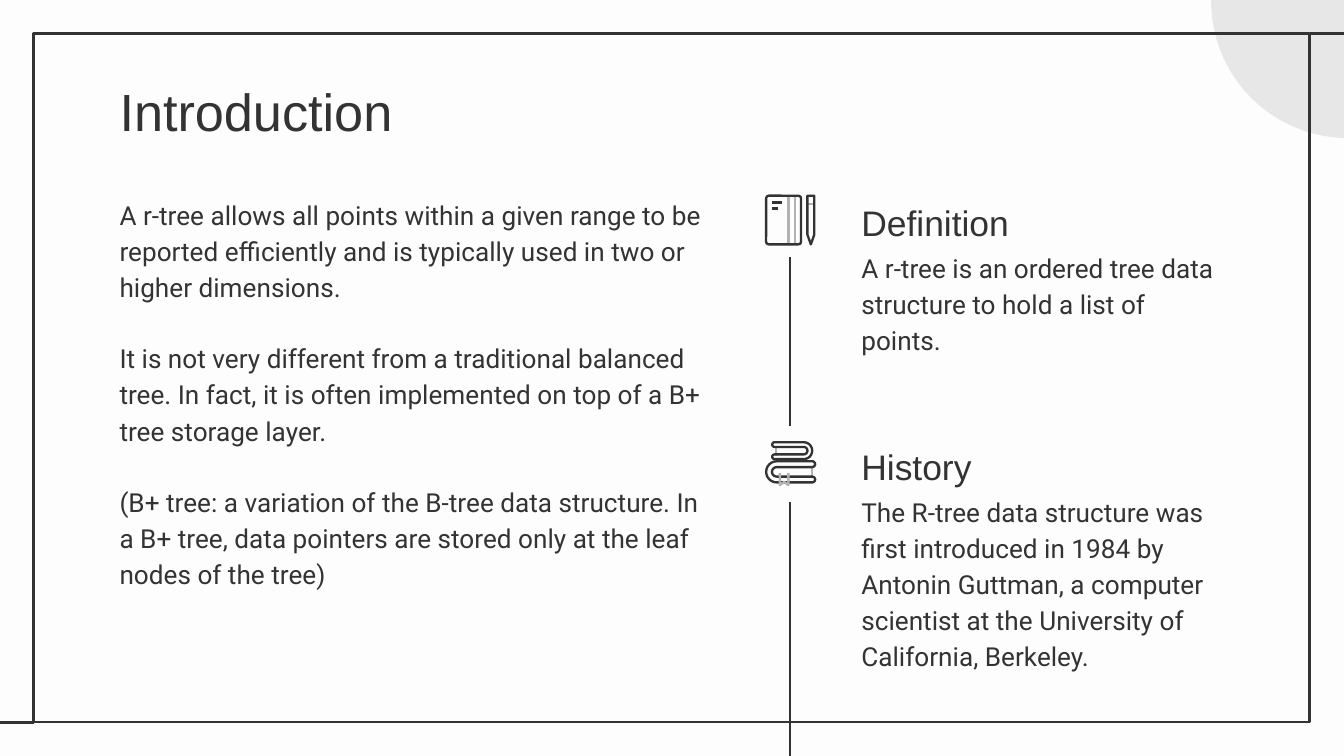
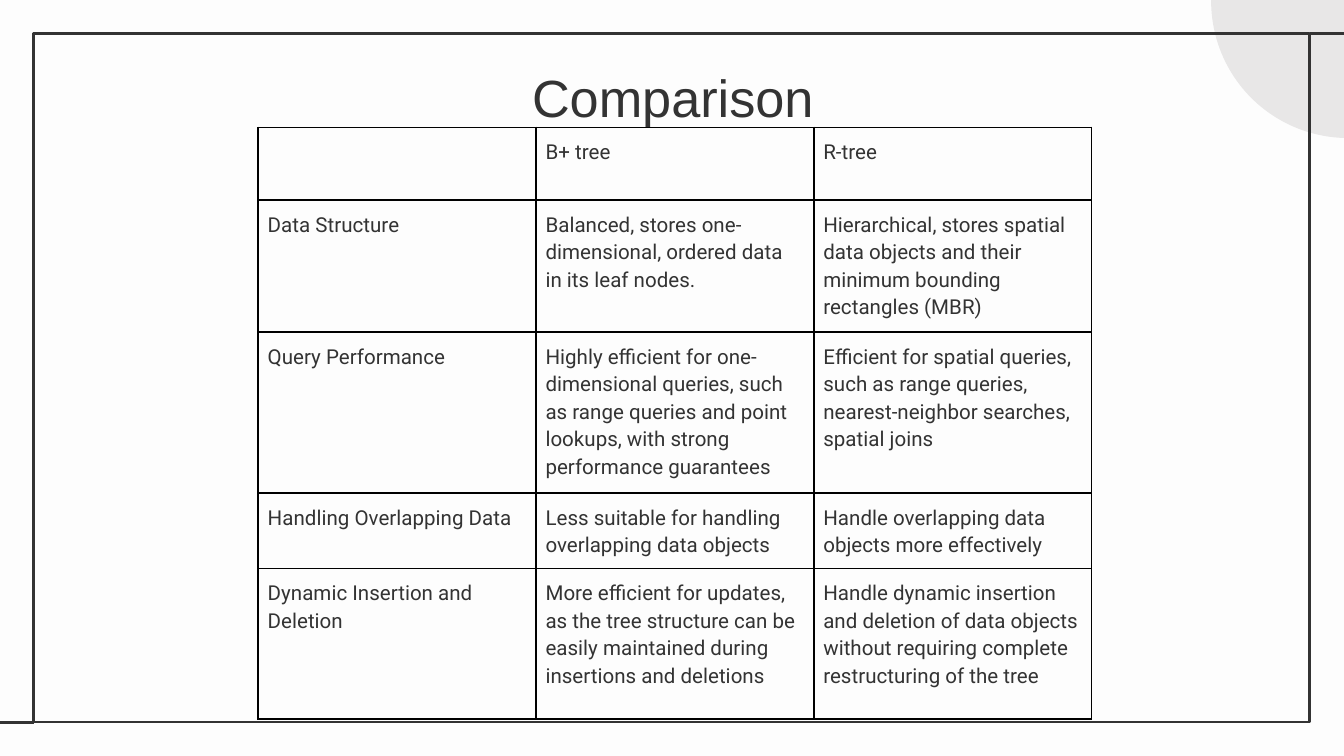
from dataclasses import dataclass
from math import cos, pi, sin

from lxml import etree
from pptx import Presentation
from pptx.dml.color import RGBColor
from pptx.enum.shapes import MSO_CONNECTOR, MSO_SHAPE
from pptx.enum.text import MSO_ANCHOR, PP_ALIGN
from pptx.oxml.ns import qn
from pptx.util import Cm, Pt

RECT, OVAL = MSO_SHAPE.RECTANGLE, MSO_SHAPE.OVAL
ROUND, PEN = MSO_SHAPE.ROUNDED_RECTANGLE, MSO_SHAPE.FLOWCHART_OFFPAGE_CONNECTOR
STRAIGHT = MSO_CONNECTOR.STRAIGHT
TOP, BOTTOM = MSO_ANCHOR.TOP, MSO_ANCHOR.BOTTOM
LEFT, CENTER = PP_ALIGN.LEFT, PP_ALIGN.CENTER


@dataclass(frozen=True)
class Theme:
    paper: str = "FDFDFD"
    ink: str = "333333"
    disc: str = "E8E7E7"
    accent: str = "B2B2B2"
    grid: str = "000000"
    head: str = "Arial"
    body: str = "Roboto"
    title: int = 28
    sub: int = 19
    text: int = 14
    cell: int = 11
    rule: float = 1.5
    fine: float = 1.25
    gap: int = 19
    lead: float = 1.15


THEME = Theme()
WIDE, HIGH = 25.4, 14.29
MARGIN = 2.01
TILE = 1.42

INTRO = [
    "A r-tree allows all points within a given range to be reported efficiently "
    "and is typically used in two or higher dimensions.",
    "It is not very different from a traditional balanced tree. In fact, it is "
    "often implemented on top of a B+ tree storage layer.",
    "(B+ tree: a variation of the B-tree data structure. In a B+ tree, data "
    "pointers are stored only at the leaf nodes of the tree)",
]
TOPICS = [
    ("Definition", 3.89,
     "A r-tree is an ordered tree data structure to hold a list of points."),
    ("History", 8.5,
     "The R-tree data structure was first introduced in 1984 by Antonin Guttman, "
     "a computer scientist at the University of California, Berkeley."),
]
ROWS = [
    (1.37, "", "B+ tree", "R-tree"),
    (2.41, "Data Structure",
     "Balanced, stores one-dimensional, ordered data in its leaf nodes.",
     "Hierarchical, stores spatial data objects and their minimum bounding "
     "rectangles (MBR)"),
    (2.95, "Query Performance",
     "Highly efficient for one-dimensional queries, such as range queries and "
     "point lookups, with strong performance guarantees",
     "Efficient for spatial queries, such as range queries, nearest-neighbor "
     "searches, spatial joins"),
    (1.37, "Handling Overlapping Data",
     "Less suitable for handling overlapping data objects",
     "Handle overlapping data objects more effectively"),
    (2.84, "Dynamic Insertion and Deletion",
     "More efficient for updates, as the tree structure can be easily "
     "maintained during insertions and deletions",
     "Handle dynamic insertion and deletion of data objects without requiring "
     "complete restructuring of the tree"),
]


def tint(code):
    return RGBColor.from_string(code)


def paint(shape, fill=None, line=None, width=THEME.rule):
    shape.shadow.inherit = False
    if fill:
        shape.fill.solid()
        shape.fill.fore_color.rgb = tint(fill)
    else:
        shape.fill.background()
    if line:
        shape.line.color.rgb = tint(line)
        shape.line.width = Pt(width)
    else:
        shape.line.fill.background()
    return shape


def block(slide, kind, box, **look):
    shape = slide.shapes.add_shape(kind, *map(Cm, box))
    return paint(shape, **look)


def trace(slide, points, close, color):
    """Outline through points given in centimetres."""
    spots = [(Cm(x), Cm(y)) for x, y in points]
    pen = slide.shapes.build_freeform(*spots[0])
    pen.add_line_segments(spots[1:], close=close)
    return paint(pen.convert_to_shape(), line=color, width=THEME.fine)


def rule(slide, start, end, color=THEME.ink, width=THEME.rule):
    line = slide.shapes.add_connector(STRAIGHT, *map(Cm, start + end))
    line.line.color.rgb = tint(color)
    line.line.width = Pt(width)
    etree.SubElement(line._element.spPr, qn("a:effectLst"))
    return line


def style(para, font, size, align=LEFT, lead=None):
    para.alignment = align
    para.line_spacing = lead
    para.font.name = font
    para.font.size = Pt(size)
    para.font.color.rgb = tint(THEME.ink)


def write(slide, box, lines, font, size, anchor=TOP, align=LEFT, lead=THEME.lead):
    frame = slide.shapes.add_textbox(*map(Cm, box)).text_frame
    frame.word_wrap = True
    frame.vertical_anchor = anchor
    frame.margin_left = frame.margin_right = Cm(0.25)
    frame.margin_top = frame.margin_bottom = Cm(0.25)
    for i, line in enumerate(lines):
        para = frame.add_paragraph() if i else frame.paragraphs[0]
        para.text = line
        style(para, font, size, align, lead)
        if i:
            para.space_before = Pt(THEME.gap)


def page(deck, title, top, align):
    """Blank slide with the shared disc, frame and title."""
    slide = deck.slides.add_slide(deck.slide_layouts[6])
    fill = slide.background.fill
    fill.solid()
    fill.fore_color.rgb = tint(THEME.paper)
    block(slide, OVAL, (22.89, -2.57, 5.18, 5.18), fill=THEME.disc)
    block(slide, RECT, (0.64, 0.64, 24.11, 13.01), line=THEME.ink)
    rule(slide, (0.64, 13.65), (0, 13.65))
    rule(slide, (WIDE, 0.64), (24.75, 0.64))
    write(slide, (MARGIN, top, 21.41, 1.6), [title], THEME.head, THEME.title,
          align=align, lead=1)
    return slide


def arc(x, y, r, start, sweep, steps=12):
    angles = [start + sweep * i / steps for i in range(steps + 1)]
    return [(x + r * cos(a), y + r * sin(a)) for a in angles]


def book(slide, hub, tip, y, outer, inner):
    """Book cover bent round the hub, with round ends at the tip."""
    side = 1 if hub > tip else -1
    cap, mid = (outer - inner) / 2, (outer + inner) / 2
    turn = pi * side
    start = -pi / 2
    points = (arc(hub, y, outer, start, turn)
              + arc(tip, y + mid, cap, -start, turn)
              + arc(hub, y, inner, -start, -turn)
              + arc(tip, y - mid, cap, -start, turn))
    trace(slide, points, True, THEME.ink)


def books(slide):
    for x, y, tall in ((14.66, 8.46, 0.15), (15.34, 8.82, 0.18)):
        rule(slide, (x, y), (x, y + tall), THEME.accent, THEME.fine)
    book(slide, 15.19, 14.64, 8.52, 0.16, 0.07)
    book(slide, 14.68, 15.35, 8.92, 0.2, 0.09)
    ribbon = [(14.74, 8.94), (14.74, 9.17), (14.82, 9.11), (14.9, 9.17), (14.9, 8.94)]
    trace(slide, ribbon, False, THEME.accent)


def notes(slide):
    """Notebook and pencil."""
    for x in (14.9, 15.02):
        rule(slide, (x, 3.71), (x, 4.61), THEME.accent, THEME.fine)
    rule(slide, (15.26, 3.85), (15.39, 3.85), THEME.accent, THEME.fine)
    cover = block(slide, ROUND, (14.48, 3.7, 0.66, 0.92),
                  line=THEME.ink, width=THEME.fine)
    cover.adjustments[0] = 0.08
    block(slide, PEN, (15.26, 3.7, 0.13, 0.92), line=THEME.ink, width=THEME.fine)
    for y, end in ((3.83, 14.77), (3.94, 14.7)):
        rule(slide, (14.59, y), (end, y), width=THEME.fine)


def edge(cell):
    props = cell._tc.get_or_add_tcPr()
    for i, side in enumerate(("lnL", "lnR", "lnT", "lnB")):
        line = etree.Element(qn(f"a:{side}"), w=str(Pt(1)))
        fill = etree.SubElement(line, qn("a:solidFill"))
        etree.SubElement(fill, qn("a:srgbClr"), val=THEME.grid)
        props.insert(i, line)


def grid(slide, left, top, wide):
    shape = slide.shapes.add_table(len(ROWS), 3, Cm(left), Cm(top), Cm(3 * wide),
                                   Cm(sum(row[0] for row in ROWS)))
    table = shape.table
    table.first_row = table.horz_banding = False
    for column in table.columns:
        column.width = Cm(wide)
    for row, (tall, *texts) in zip(table.rows, ROWS):
        row.height = Cm(tall)
        for cell, text in zip(row.cells, texts):
            cell.text = text
            cell.fill.background()
            cell.margin_left = cell.margin_right = Cm(0.18)
            cell.margin_top = cell.margin_bottom = Cm(0.18)
            style(cell.text_frame.paragraphs[0], THEME.body, THEME.cell,
                  lead=THEME.lead)
            edge(cell)


def intro(deck):
    slide = page(deck, "Introduction", 1.24, LEFT)
    write(slide, (MARGIN, 3.43, 11.84, 9.37), INTRO, THEME.body, THEME.text)
    for name, top, text in TOPICS:
        write(slide, (16.03, top, 7.39, 0.97), [name], THEME.head, THEME.sub,
              anchor=BOTTOM)
        write(slide, (16.03, top + 0.55, 7.39, 3.2), [text], THEME.body, THEME.text)
    first, second = [block(slide, RECT, (14.22, y, TILE, TILE), fill=THEME.paper)
                     for y in (3.44, 8.06)]
    x = 14.22 + TILE / 2
    link = rule(slide, (x, 4.86), (x, 8.06))
    link.begin_connect(first, 2)
    link.end_connect(second, 0)
    tail = rule(slide, (x, 9.48), (x, HIGH))
    tail.begin_connect(second, 2)
    notes(slide)
    books(slide)


def main():
    deck = Presentation()
    deck.slide_width, deck.slide_height = Cm(WIDE), Cm(HIGH)
    intro(deck)
    grid(page(deck, "Comparison", 0.99, CENTER), 4.88, 2.41, 5.25)
    deck.save("out.pptx")


if __name__ == "__main__":
    main()
